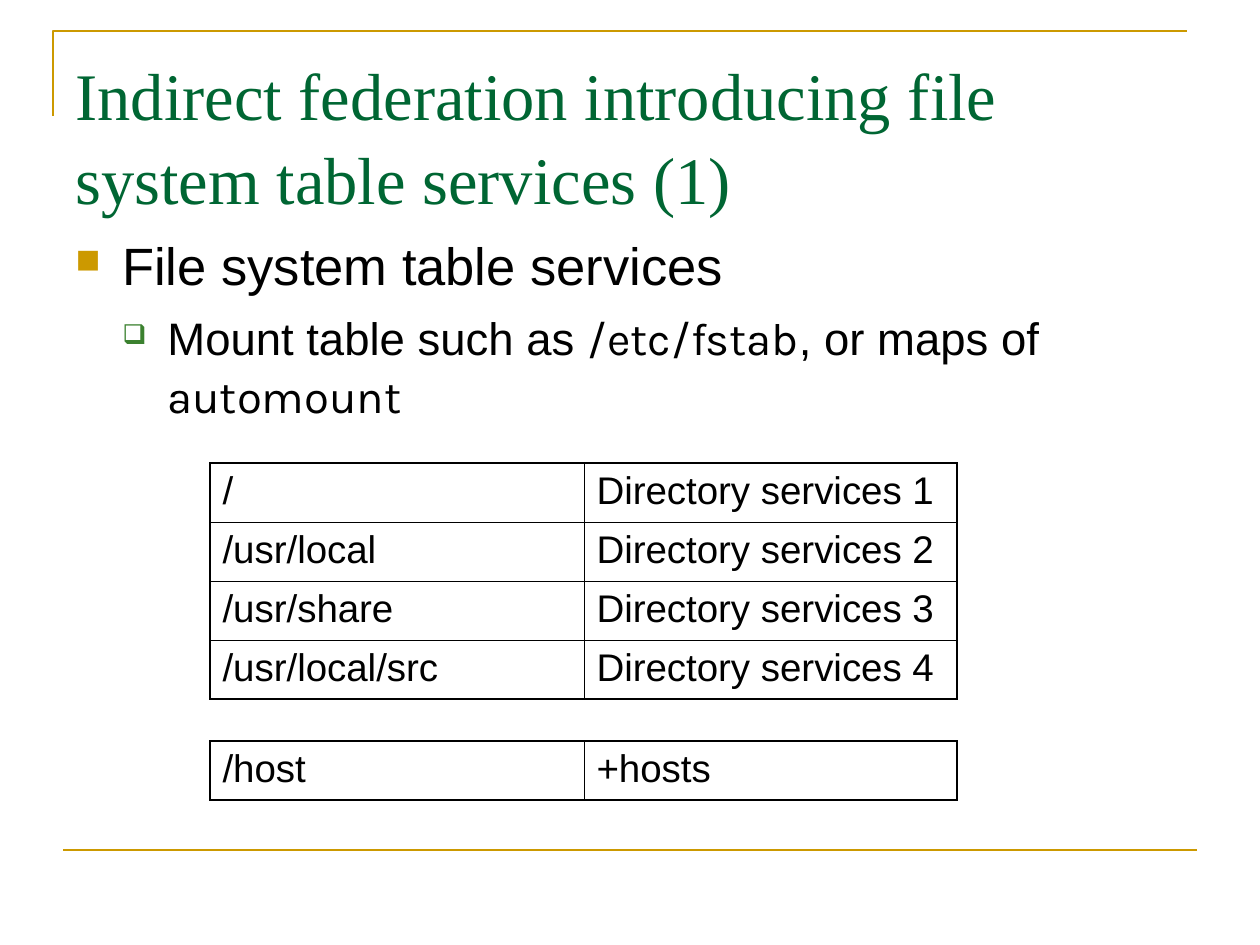
from dataclasses import dataclass

from lxml import etree
from pptx import Presentation
from pptx.dml.color import RGBColor
from pptx.enum.shapes import MSO_CONNECTOR
from pptx.oxml.ns import qn
from pptx.util import Emu, Pt

STRAIGHT = MSO_CONNECTOR.STRAIGHT
SCALE = 914400 / 126  # EMU per px


@dataclass(frozen=True)
class Theme:
    gold: str = "CC9900"
    title_green: str = "006633"
    bullet_green: str = "3B812F"
    ink: str = "000000"
    serif: str = "Times New Roman"
    sans: str = "Arial"
    code: str = "Karla"
    title_size: int = 38
    topic_size: int = 30
    detail_size: int = 26
    cell_size: int = 22
    rule_width: float = 1.5
    outer_border: float = 1.08
    inner_border: float = 0.45
    leading: float = 1.05


THEME = Theme()


def px(*lengths):
    """Turn px into EMU."""
    return [Emu(round(length * SCALE)) for length in lengths]


def style(paragraph, face, size, color):
    paragraph.font.name = face
    paragraph.font.size = Pt(size)
    paragraph.font.color.rgb = RGBColor.from_string(color)


prs = Presentation()
prs.slide_width, prs.slide_height = px(1260, 945)
slide = prs.slides.add_slide(prs.slide_layouts[6])

# Gold frame: corner at the top, rule at the bottom
corner_builder = slide.shapes.build_freeform(53, 116, scale=SCALE)
corner_builder.add_line_segments([(53, 31), (1187, 31)], close=False)
corner = corner_builder.convert_to_shape()
corner.shadow.inherit = False
corner.fill.background()
footer_rule = slide.shapes.add_connector(STRAIGHT, *px(63, 850, 1197, 850))
etree.SubElement(footer_rule._element.spPr, qn("a:effectLst"))
for rule in (corner, footer_rule):
    rule.line.color.rgb = RGBColor.from_string(THEME.gold)
    rule.line.width = Pt(THEME.rule_width)

# Title
title_frame = slide.shapes.add_textbox(*px(63, 44, 1134, 158)).text_frame
title_frame.word_wrap = True
title = title_frame.paragraphs[0]
title.text = "Indirect federation introducing file system table services (1)"
title.line_spacing = THEME.leading
style(title, THEME.serif, THEME.title_size, THEME.title_green)

# Bulleted text: left margin, hanging indent, space before, bullet, runs
outline = [
    (47, 47, 0, ("■", THEME.gold, 65), THEME.topic_size,
     [("File system table services", THEME.sans)]),
    (92, 45, 6.5, ("❑", THEME.bullet_green, 60), THEME.detail_size,
     [("Mount table such as ", THEME.sans), ("/etc/fstab", THEME.code),
      (", or maps of ", THEME.sans), ("automount", THEME.code)]),
]
body_frame = slide.shapes.add_textbox(*px(63, 224, 1134, 624)).text_frame
body_frame.word_wrap = True
for index, (margin, hang, before, bullet, size, runs) in enumerate(outline):
    item = body_frame.add_paragraph() if index else body_frame.paragraphs[0]
    symbol, symbol_color, percent = bullet
    props = item._p.get_or_add_pPr()
    props.set("marL", str(px(margin)[0]))
    props.set("indent", str(px(-hang)[0]))
    bullet_color = etree.SubElement(props, qn("a:buClr"))
    etree.SubElement(bullet_color, qn("a:srgbClr"), val=symbol_color)
    etree.SubElement(props, qn("a:buSzPct"), val=str(percent * 1000))
    etree.SubElement(props, qn("a:buChar"), char=symbol)
    item.line_spacing = THEME.leading
    item.space_before = Pt(before)
    style(item, THEME.sans, size, THEME.ink)
    for text, face in runs:
        run = item.add_run()
        run.text = text
        if face != THEME.sans:
            run.font.name = face

# Mount tables
mount_table = [
    ("/", "Directory services 1"),
    ("/usr/local", "Directory services 2"),
    ("/usr/share", "Directory services 3"),
    ("/usr/local/src", "Directory services 4"),
]
automount_map = [("/host", "+hosts")]
COLUMN_WIDTHS = (374, 373)
ROW_HEIGHT = 59

for top, entries in ((463, mount_table), (741, automount_map)):
    size = px(210, top, sum(COLUMN_WIDTHS), ROW_HEIGHT * len(entries))
    table = slide.shapes.add_table(len(entries), 2, *size).table
    table.first_row = table.horz_banding = False
    for column, width in zip(table.columns, px(*COLUMN_WIDTHS)):
        column.width = width
    for row, entry in enumerate(entries):
        for col, text in enumerate(entry):
            cell = table.cell(row, col)
            cell.text = text
            style(cell.text_frame.paragraphs[0], THEME.sans, THEME.cell_size, THEME.ink)
            on_edge = {"a:lnL": col == 0, "a:lnR": col == 1,
                       "a:lnT": row == 0, "a:lnB": row == len(entries) - 1}
            for side, outer in on_edge.items():
                weight = THEME.outer_border if outer else THEME.inner_border
                border = etree.SubElement(cell._tc.get_or_add_tcPr(), qn(side), w=str(Pt(weight)))
                border_fill = etree.SubElement(border, qn("a:solidFill"))
                etree.SubElement(border_fill, qn("a:srgbClr"), val=THEME.ink)
            cell.fill.background()

prs.save("out.pptx")
